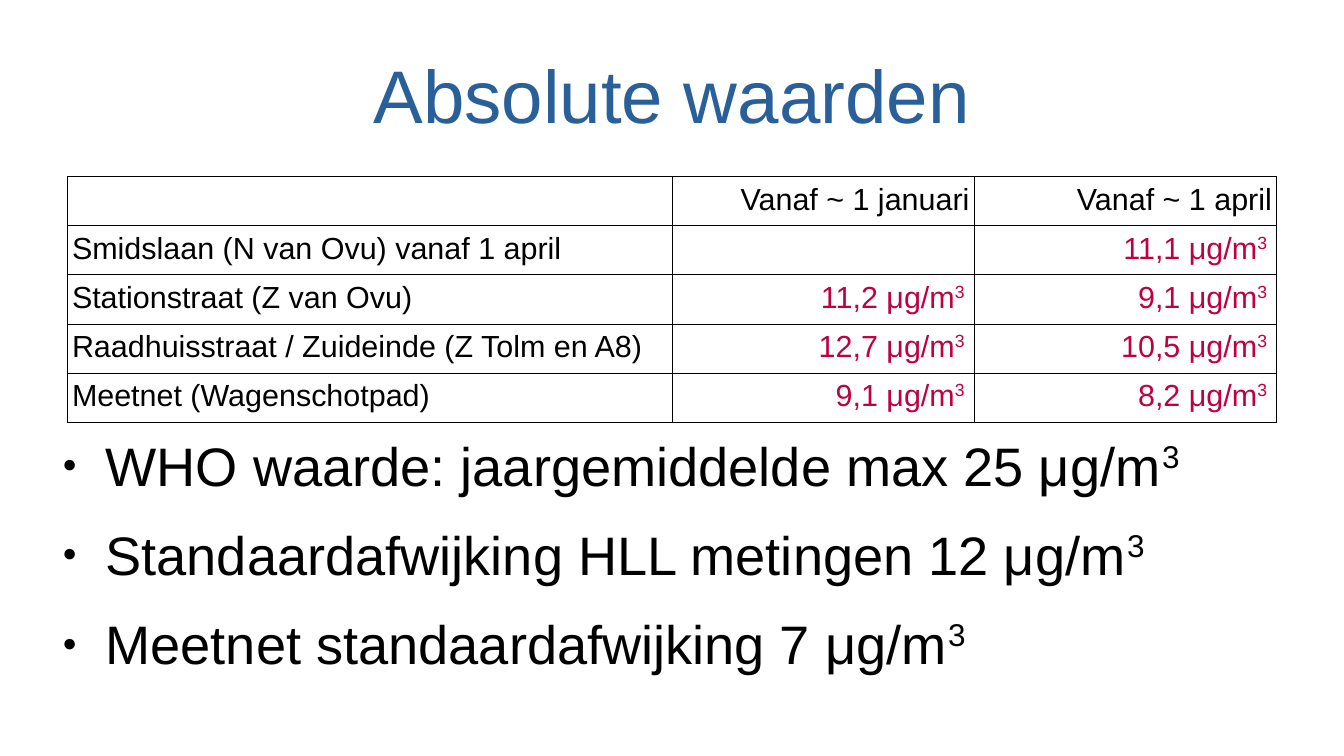
"""Build the slide with absolute particulate values: a title, a table and three bullets."""
from lxml.etree import SubElement
from pptx import Presentation
from pptx.dml.color import RGBColor
from pptx.enum.text import MSO_ANCHOR, PP_ALIGN
from pptx.oxml.ns import qn
from pptx.util import Cm, Pt

theme = {
    "font": "Arial",
    "title_colour": "2A6099",
    "text_colour": "000000",
    "value_colour": "BF0041",
    "title_size": Pt(44),
    "table_size": Pt(18),
    "bullet_size": Pt(32),
}


def apply_format(target, values):
    """Set every attribute in values on the target."""
    for name, value in values.items():
        setattr(target, name, value)


def write_text(paragraph, text, size, colour, superscript=""):
    """Write text in the theme font, followed by an optional superscript."""
    for content, baseline in ((text, None), (superscript, "33000")):
        if content:
            run = paragraph.add_run()
            run.text = content
            apply_format(run.font, {"name": theme["font"], "size": size})
            run.font.color.rgb = RGBColor.from_string(colour)
            if baseline:
                run._r.get_or_add_rPr().set("baseline", baseline)


presentation = Presentation()
apply_format(presentation, {"slide_width": Cm(28), "slide_height": Cm(15.75)})
slide = presentation.slides.add_slide(presentation.slide_layouts[6])

frame_format = {
    "word_wrap": True,
    "margin_left": 0,
    "margin_right": 0,
    "margin_top": 0,
    "margin_bottom": 0,
}

title = slide.shapes.add_textbox(Cm(1.4), Cm(0.63), Cm(25.2), Cm(2.64))
apply_format(title.text_frame, {**frame_format, "vertical_anchor": MSO_ANCHOR.MIDDLE})
paragraph = title.text_frame.paragraphs[0]
paragraph.alignment = PP_ALIGN.CENTER
write_text(paragraph, "Absolute waarden", theme["title_size"], theme["title_colour"])

rows = [
    ("", "Vanaf ~ 1 januari", "Vanaf ~ 1 april"),
    ("Smidslaan (N van Ovu) vanaf 1 april", "", "11,1"),
    ("Stationstraat (Z van Ovu)", "11,2", "9,1"),
    ("Raadhuisstraat / Zuideinde (Z Tolm en A8)", "12,7", "10,5"),
    ("Meetnet (Wagenschotpad)", "9,1", "8,2"),
]
column_widths = [Cm(12.6), Cm(6.3), Cm(6.3)]
row_height = Cm(1.02)
cell_format = {
    "margin_left": Cm(0.1),
    "margin_right": Cm(0.1),
    "margin_top": Cm(0.13),
    "margin_bottom": Cm(0.13),
}

table = slide.shapes.add_table(
    len(rows), len(column_widths), Cm(1.4), Cm(3.68), sum(column_widths), row_height * len(rows)
).table
apply_format(table, {"first_row": False, "horz_banding": False})
for column, width in zip(table.columns, column_widths):
    column.width = width

for row_index, row in enumerate(rows):
    table.rows[row_index].height = row_height
    for column_index, text in enumerate(row):
        cell = table.cell(row_index, column_index)
        apply_format(cell, cell_format)
        properties = cell._tc.get_or_add_tcPr()
        for side in ("a:lnL", "a:lnR", "a:lnT", "a:lnB"):
            border = SubElement(properties, qn(side), w=str(Pt(0.57)))
            fill = SubElement(border, qn("a:solidFill"))
            SubElement(fill, qn("a:srgbClr"), val=theme["text_colour"])
        cell.fill.background()

        paragraph = cell.text_frame.paragraphs[0]
        paragraph.alignment = PP_ALIGN.RIGHT if column_index else PP_ALIGN.LEFT
        if not text:
            paragraph.font.size = theme["table_size"]
        elif row_index and column_index:
            write_text(paragraph, f"{text} μg/m", theme["table_size"], theme["value_colour"], "3 ")
        else:
            write_text(paragraph, text, theme["table_size"], theme["text_colour"])

bullets = [
    "WHO waarde: jaargemiddelde max 25 μg/m",
    "Standaardafwijking HLL metingen 12 μg/m",
    "Meetnet standaardafwijking 7 μg/m",
]
body = slide.shapes.add_textbox(Cm(1), Cm(9), Cm(25.6), Cm(5.5))
apply_format(body.text_frame, frame_format)
for index, text in enumerate(bullets):
    paragraph = body.text_frame.add_paragraph() if index else body.text_frame.paragraphs[0]
    paragraph.space_before = Pt(14.2) if index else Pt(0)
    properties = paragraph._p.get_or_add_pPr()
    properties.set("marL", str(Cm(1.2)))
    properties.set("indent", str(Cm(-0.9)))
    bullet_colour = SubElement(properties, qn("a:buClr"))
    SubElement(bullet_colour, qn("a:srgbClr"), val=theme["text_colour"])
    SubElement(properties, qn("a:buSzPct"), val="45000")
    SubElement(properties, qn("a:buFont"), typeface=theme["font"])
    SubElement(properties, qn("a:buChar"), char="●")
    write_text(paragraph, text, theme["bullet_size"], theme["text_colour"], "3")

presentation.save("out.pptx")
